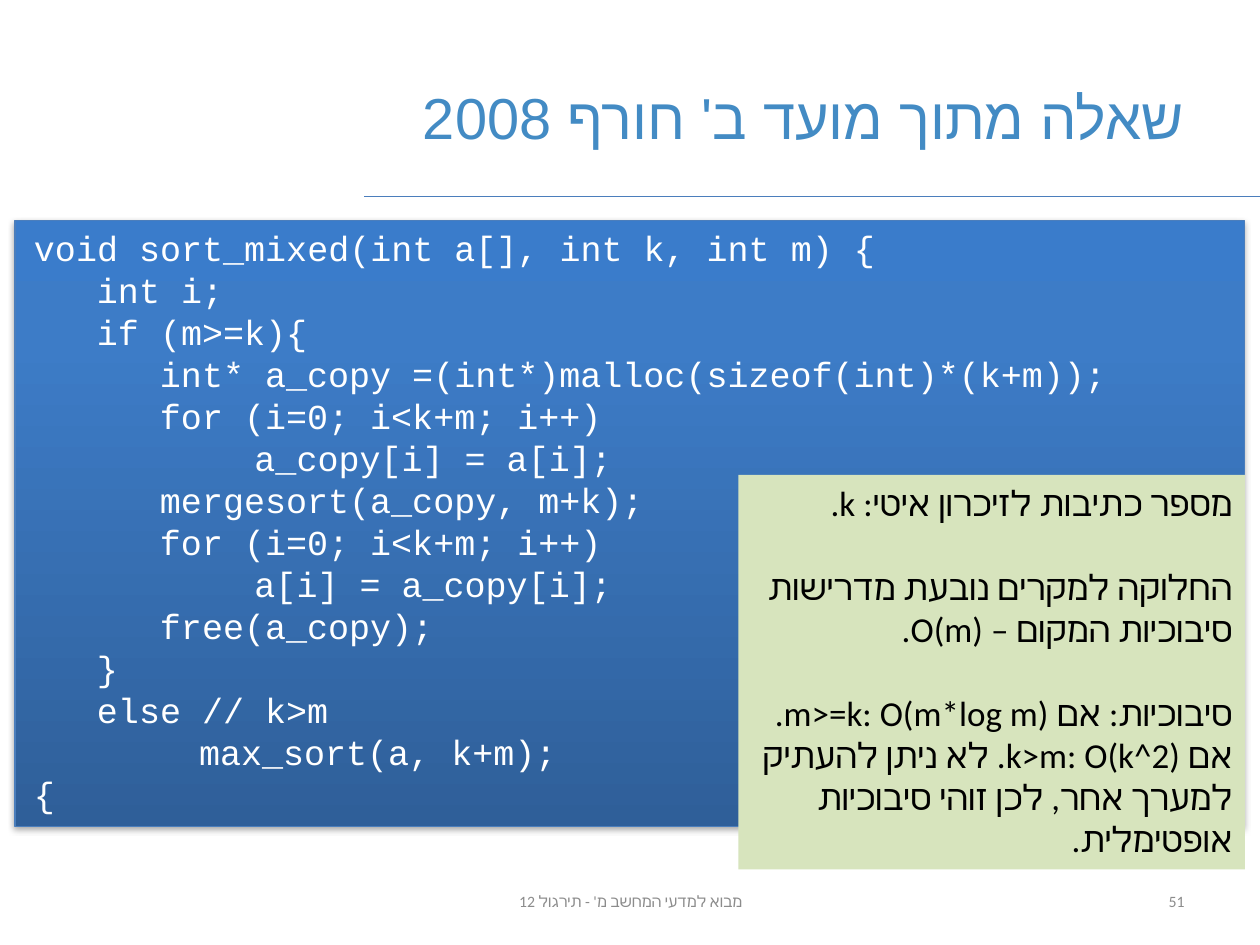
"""Build a slide that explains a mixed sorting function in C."""
from copy import deepcopy
from dataclasses import dataclass

from lxml.etree import SubElement
from pptx import Presentation
from pptx.dml.color import RGBColor
from pptx.enum.shapes import MSO_CONNECTOR, MSO_SHAPE
from pptx.enum.text import MSO_ANCHOR, PP_ALIGN
from pptx.oxml.ns import qn
from pptx.util import Inches, Pt

TITLE_BLUE = RGBColor(0x43, 0x8B, 0xC4)
LINE_BLUE = RGBColor(0x4B, 0x7E, 0xBC)
FOOTER_GRAY = RGBColor(0x8C, 0x8C, 0x8C)
NOTE_GREEN = RGBColor(0xD7, 0xE4, 0xBD)
WHITE = RGBColor(0xFF, 0xFF, 0xFF)
BLACK = RGBColor(0x00, 0x00, 0x00)
GRADIENT = [
    (0, RGBColor(0x2F, 0x5F, 0x99)),
    (0.8, RGBColor(0x3D, 0x7C, 0xC7)),
    (1, RGBColor(0x3A, 0x7C, 0xCB)),
]
INDENTS = [(0.29, -0.29), (0.81, -0.31), (1.25, -0.25)]


@dataclass
class TextStyle:
    font: str
    size: float
    color: RGBColor
    alignment: PP_ALIGN = PP_ALIGN.RIGHT
    right_to_left: bool = True


@dataclass
class Line:
    text: str
    level: int = 0
    space_before: float = 0


@dataclass
class Box:
    left: float
    top: float
    width: float
    height: float

    def lengths(self) -> list:
        return [Inches(value) for value in (self.left, self.top, self.width, self.height)]


TITLE_STYLE = TextStyle("Arial", 33, TITLE_BLUE)
CODE_STYLE = TextStyle("Courier New", 20, WHITE, PP_ALIGN.LEFT, False)
NOTE_STYLE = TextStyle("Calibri", 20, BLACK)
FOOTER_STYLE = TextStyle("Calibri", 9, FOOTER_GRAY, PP_ALIGN.CENTER)
NUMBER_STYLE = TextStyle("Calibri", 9, FOOTER_GRAY)

CODE = [
    Line("void sort_mixed(int a[], int k, int m) {"),
    Line("int i;", 1),
    Line("if (m>=k){", 1),
    Line("int* a_copy =(int*)malloc(sizeof(int)*(k+m));", 2),
    Line("for (i=0; i<k+m; i++)", 2),
    Line("\t\ta_copy[i] = a[i];", 2),
    Line("mergesort(a_copy, m+k);", 2),
    Line("for (i=0; i<k+m; i++)", 2),
    Line("\t\ta[i] = a_copy[i];", 2),
    Line("free(a_copy);", 2),
    Line("}", 1),
    Line("else // k>m", 1),
    Line("\t\tmax_sort(a, k+m);", 1),
    Line("{"),
]
NOTE = [
    Line("מספר כתיבות לזיכרון איטי: k. "),
    Line("החלוקה למקרים נובעת מדרישות סיבוכיות המקום – O(m).", space_before=24),
    Line("סיבוכיות: אם m>=k: O(m*log m).", space_before=24),
    Line("אם k>m: O(k^2). לא ניתן להעתיק למערך אחר, לכן זוהי סיבוכיות אופטימלית."),
]


def write_lines(shape, lines: list[Line], style: TextStyle, anchor=MSO_ANCHOR.MIDDLE) -> None:
    frame = shape.text_frame
    frame.word_wrap = True
    frame.vertical_anchor = anchor
    for index, line in enumerate(lines):
        paragraph = frame.add_paragraph() if index else frame.paragraphs[0]
        formats = {
            "alignment": style.alignment,
            "level": line.level,
            "space_before": Pt(line.space_before),
        }
        for name, value in formats.items():
            setattr(paragraph, name, value)
        properties = paragraph._p.get_or_add_pPr()
        if style.right_to_left:
            properties.set("rtl", "1")
        else:
            margin, indent = INDENTS[line.level]
            properties.set("marL", str(Inches(margin)))
            properties.set("indent", str(Inches(indent)))
        run = paragraph.add_run()
        run.text = line.text
        for name, value in {"name": style.font, "size": Pt(style.size)}.items():
            setattr(run.font, name, value)
        run.font.color.rgb = style.color
        SubElement(run._r.get_or_add_rPr(), qn("a:cs"), typeface=style.font)


def add_rectangle(slide, box: Box):
    shape = slide.shapes.add_shape(MSO_SHAPE.RECTANGLE, *box.lengths())
    shape.shadow.inherit = False
    return shape


def add_text(slide, box: Box, text: str, style: TextStyle) -> None:
    write_lines(slide.shapes.add_textbox(*box.lengths()), [Line(text)], style)


def add_title(slide, box: Box, text: str) -> None:
    title = slide.shapes.title
    for name, value in zip(("left", "top", "width", "height"), box.lengths()):
        setattr(title, name, value)
    write_lines(title, [Line(text)], TITLE_STYLE)


def add_rule(slide) -> None:
    rule = slide.shapes.add_connector(
        MSO_CONNECTOR.STRAIGHT, Inches(10), Inches(1.56), Inches(2.89), Inches(1.56)
    )
    rule.line.color.rgb = LINE_BLUE
    rule.line.width = Pt(0.75)
    SubElement(rule._element.spPr, qn("a:effectLst"))


def add_code(slide, box: Box) -> None:
    shape = add_rectangle(slide, box)
    shape.fill.gradient()
    shape.fill.gradient_angle = 90
    properties = shape._element.spPr
    stop_list = properties.find(qn("a:gradFill")).find(qn("a:gsLst"))
    stop_list.append(deepcopy(stop_list[0]))
    for stop, (position, color) in zip(shape.fill.gradient_stops, GRADIENT):
        stop.position = position
        stop.color.rgb = color
    shape.line.color.rgb = LINE_BLUE
    shape.line.width = Pt(0.75)
    shadow = SubElement(
        properties.find(qn("a:effectLst")), qn("a:outerShdw"),
        blurRad="40000", dist="23000", dir="5400000", rotWithShape="0",
    )
    shadow_color = SubElement(shadow, qn("a:srgbClr"), val=str(BLACK))
    SubElement(shadow_color, qn("a:alpha"), val="35000")
    shape.text_frame.margin_left = shape.text_frame.margin_right = Inches(0.15)
    write_lines(shape, CODE, CODE_STYLE, MSO_ANCHOR.TOP)


def add_note(slide, box: Box) -> None:
    shape = add_rectangle(slide, box)
    shape.fill.solid()
    shape.fill.fore_color.rgb = NOTE_GREEN
    shape.line.fill.background()
    write_lines(shape, NOTE, NOTE_STYLE, MSO_ANCHOR.TOP)


def main() -> None:
    presentation = Presentation()
    presentation.slide_width = Inches(10)
    presentation.slide_height = Inches(7.5)
    slide = presentation.slides.add_slide(presentation.slide_layouts[5])
    add_rule(slide)
    add_title(slide, Box(0.5, 0.3, 9, 1.25), "שאלה מתוך מועד ב' חורף 2008")
    add_text(slide, Box(3.42, 6.95, 3.17, 0.4), "מבוא למדעי המחשב מ' - תירגול 12", FOOTER_STYLE)
    add_text(slide, Box(7.17, 6.95, 2.33, 0.4), "51", NUMBER_STYLE)
    add_code(slide, Box(0.12, 1.75, 9.76, 4.81))
    add_note(slide, Box(5.86, 3.77, 4.02, 3.13))
    presentation.save("out.pptx")


if __name__ == "__main__":
    main()
